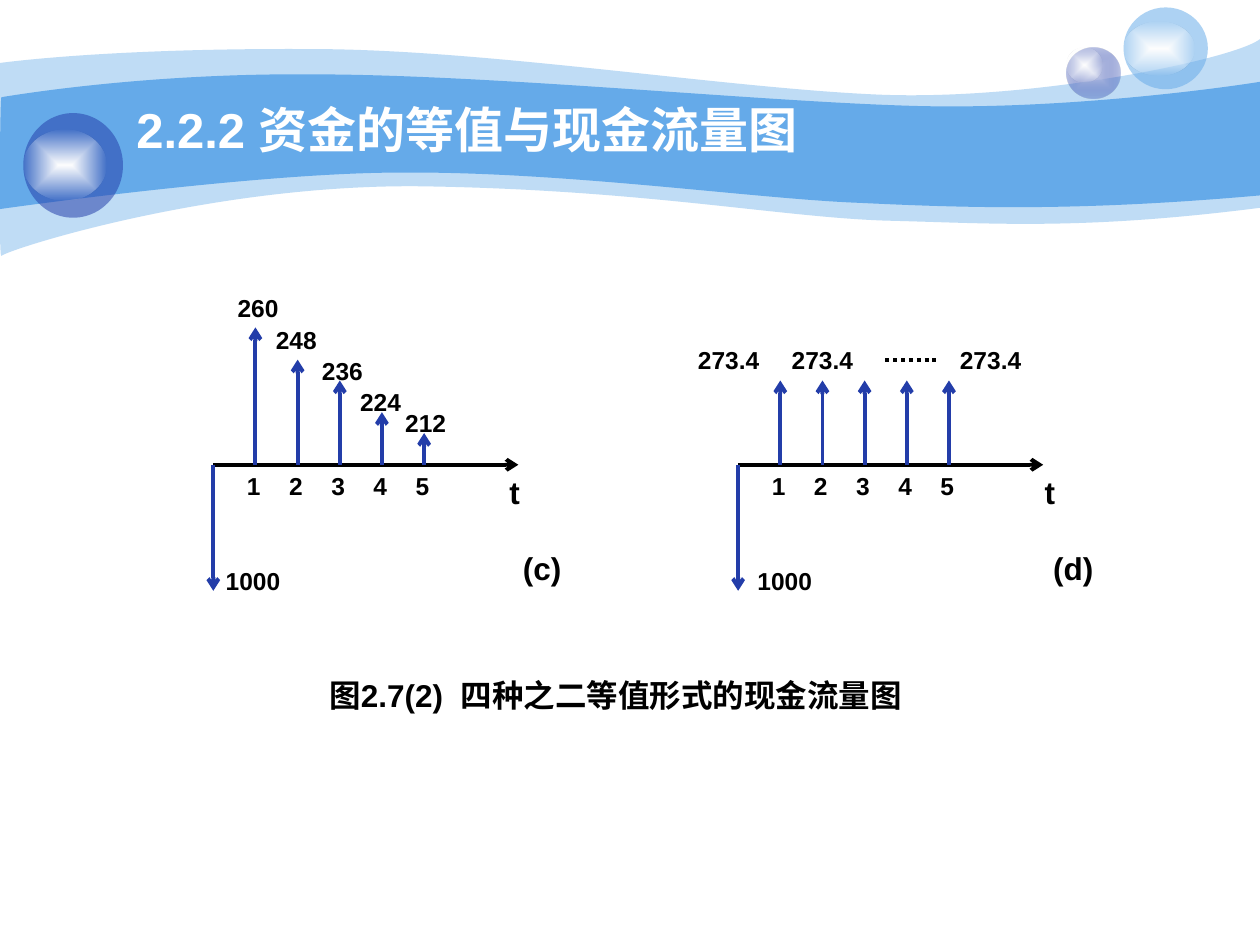
from lxml import etree
from pptx import Presentation
from pptx import util as u
from pptx.dml.color import RGBColor
from pptx.enum import dml, shapes, text
from pptx.oxml import parse_xml
from pptx.oxml.ns import nsdecls, qn

HUES = {"sky": "65AAE9", "navy": "233DA9", "pale": "C7CEE9",
        "white": "FFFFFF", "black": "000000"}

LIGHT = [(0, 1.27),
         (0.61, 1.19, 2.72, 0.97, 6.27, 0.99),
         (9.8, 0.99, 14.61, 1.78, 17.75, 1.91),
         (20.88, 2.03, 24.89, 1.19, 25.4, 0.79),
         (25.4, 4.19),
         (21.79, 4.65, 19.99, 4.5, 17.91, 4.45),
         (15.8, 4.39, 13.08, 3.84, 8.71, 3.76),
         (4.37, 3.66, 0.1, 5.05, 0.03, 5.16),
         (-0.03, 5.28, 0, 1.9, 0, 1.27)]
DARK = [(0.03, 1.96),
        (0.05, 1.96, 2.79, 1.47, 6.3, 1.5),
        (9.8, 1.5, 15.11, 2.03, 18.24, 2.13),
        (21.36, 2.24, 24.79, 1.75, 25.4, 1.65),
        (25.4, 3.94),
        (21.67, 4.27, 19.43, 4.19, 17.32, 4.09),
        (15.21, 4.01, 11.35, 3.45, 8.05, 3.48),
        (5.16, 3.48, -0.05, 4.22, -0.03, 4.22),
        (0, 4.22, 0, 1.96, 0.03, 1.96)]

AXIS, STEP, SMALL, LARGE = 9.37, 0.85, 0.86, 1.02


class Deck:
    """Hold the style and the current slide."""

    font = "Arial"
    weight = u.Pt(2.25)

    def __init__(self, show):
        """Add a blank slide to the show."""
        self.slide = show.slides.add_slide(show.slide_layouts[6])
        self.shapes = self.slide.shapes

    def hue(self, name):
        """Return the named colour."""
        return RGBColor.from_string(HUES[name])

    def paint(self, shape, name, alpha):
        """Fill a shape plainly, without outline or shadow."""
        shape.shadow.inherit = False
        shape.line.fill.background()
        shape.fill.solid()
        shape.fill.fore_color.rgb = self.hue(name)
        if alpha < 100:
            tone = shape._element.spPr.find(qn("a:solidFill"))[0]
            etree.SubElement(tone, qn("a:alpha")).set("val", str(alpha * 1000))

    def wave(self, steps, name, alpha=100):
        """Draw a closed band of cubic curves and lines."""
        spots = [(u.Cm(x), u.Cm(y)) for step in steps
                 for x, y in zip(step[::2], step[1::2])]
        pen = self.shapes.build_freeform(*spots[0])
        pen.add_line_segments(spots[1:], close=True)
        band = pen.convert_to_shape()
        legs = iter(list(band._element.iter(qn("a:lnTo"))))
        for step in steps[1:]:
            leg = next(legs)
            if len(step) == 6:
                leg.tag = qn("a:cubicBezTo")
                for extra in (next(legs), next(legs)):
                    leg.append(extra[0])
                    extra.getparent().remove(extra)
        self.paint(band, name, alpha)

    def ball(self, box, name, alpha=100):
        """Draw an ellipse in one colour."""
        ball = self.shapes.add_shape(shapes.MSO_SHAPE.OVAL, *map(u.Cm, box))
        self.paint(ball, name, alpha)
        return ball

    def glow(self, box, inner="white", outer="white", alpha=0):
        """Draw an ellipse that fades from its centre."""
        props = self.ball(box, inner)._element.spPr
        fade = parse_xml(
            f'<a:gradFill {nsdecls("a")} rotWithShape="1"><a:gsLst>'
            f'<a:gs pos="0"><a:srgbClr val="{HUES[inner]}"/></a:gs>'
            f'<a:gs pos="100000"><a:srgbClr val="{HUES[outer]}">'
            f'<a:alpha val="{alpha * 1000}"/></a:srgbClr></a:gs></a:gsLst>'
            '<a:path path="rect"><a:fillToRect l="50000" t="50000" r="50000" b="50000"/>'
            '</a:path></a:gradFill>')
        props.replace(props.find(qn("a:solidFill")), fade)

    def line(self, x1, y1, x2, y2, name="navy", arrow=True):
        """Draw an arrow, or a dotted line."""
        line = self.shapes.add_connector(
            shapes.MSO_CONNECTOR.STRAIGHT, *map(u.Cm, (x1, y1, x2, y2)))
        line.line.color.rgb = self.hue(name)
        line.line.width = self.weight
        if arrow:
            tip = etree.SubElement(line.line._get_or_add_ln(), qn("a:tailEnd"))
            tip.set("type", "arrow")
        else:
            line.line.dash_style = dml.MSO_LINE.ROUND_DOT
        etree.SubElement(line._element.spPr, qn("a:effectLst"))

    def label(self, words, box, size=14, name="black", wrap=False):
        """Write a bold line of text."""
        frame = self.shapes.add_textbox(*map(u.Cm, box)).text_frame
        frame.word_wrap = wrap
        if wrap:
            frame.vertical_anchor = text.MSO_ANCHOR.MIDDLE
        else:
            frame.auto_size = text.MSO_AUTO_SIZE.SHAPE_TO_FIT_TEXT
        line = frame.paragraphs[0]
        line.text = words
        font = line.font
        font.name, font.size, font.bold = self.font, u.Pt(size), True
        font.color.rgb = self.hue(name)

    def flow(self, x, tops):
        """Draw a time axis with one outflow and yearly inflows."""
        self.line(x, AXIS, x + 6.15, AXIS, "black")
        self.line(x, AXIS, x, 11.91)
        for i, top in enumerate(tops, 1):
            self.line(x + i * STEP, AXIS, x + i * STEP, top)
            self.label(str(i), (x + i * STEP - 0.42, AXIS, 0.8, SMALL))


def main():
    """Build the slide and save it."""
    show = Presentation()
    show.slide_width, show.slide_height = u.Cm(25.4), u.Cm(19.05)
    deck = Deck(show)

    deck.wave(LIGHT, "sky", 41)
    deck.wave(DARK, "sky")
    deck.glow((21.51, 0.97, 1.07, 1.02), "pale", "navy", 31)
    deck.glow((21.51, 0.97, 0.71, 0.69))
    deck.ball((22.65, 0.15, 1.7, 1.65), "sky", 53)
    deck.glow((22.65, 0.43, 1.42, 1.09))
    deck.ball((0.47, 2.28, 2.01, 2.11), "navy", 53)
    deck.glow((0.47, 2.62, 1.68, 1.42))
    deck.label("2.2.2 资金的等值与现金流量图", (2.5, 1.72, 17.37, 1.75), 28, "white", True)

    deck.flow(4.3, (6.6, 7.25, 7.67, 8.31, 8.73))
    deck.flow(14.88, [7.67] * 5)

    sums = (("260", 4.54, 5.78), ("248", 5.31, 6.43), ("236", 6.24, 7.05),
            ("224", 7.01, 7.68), ("212", 7.92, 8.1))
    for words, x, y in sums:
        deck.label(words, (x, y, 1.35, SMALL))
    for x in (13.82, 15.71, 19.1):
        deck.label("273.4", (x, 6.83, 1.76, SMALL))
    deck.line(17.85, 7.25, 18.9, 7.25, "black", False)

    for debt, time, mark, sign in ((4.3, 10.02, 10.29, "(c)"), (15.02, 20.81, 20.98, "(d)")):
        deck.label("1000", (debt, 11.28, 1.63, SMALL))
        deck.label("t", (time, 9.41, 0.73, LARGE), 18)
        deck.label(sign, (mark, 10.95, 1.35, LARGE), 18)
    deck.label("图2.7(2)  四种之二等值形式的现金流量图", (6.39, 13.51, 12.5, LARGE), 18)

    show.save("out.pptx")


if __name__ == "__main__":
    main()
